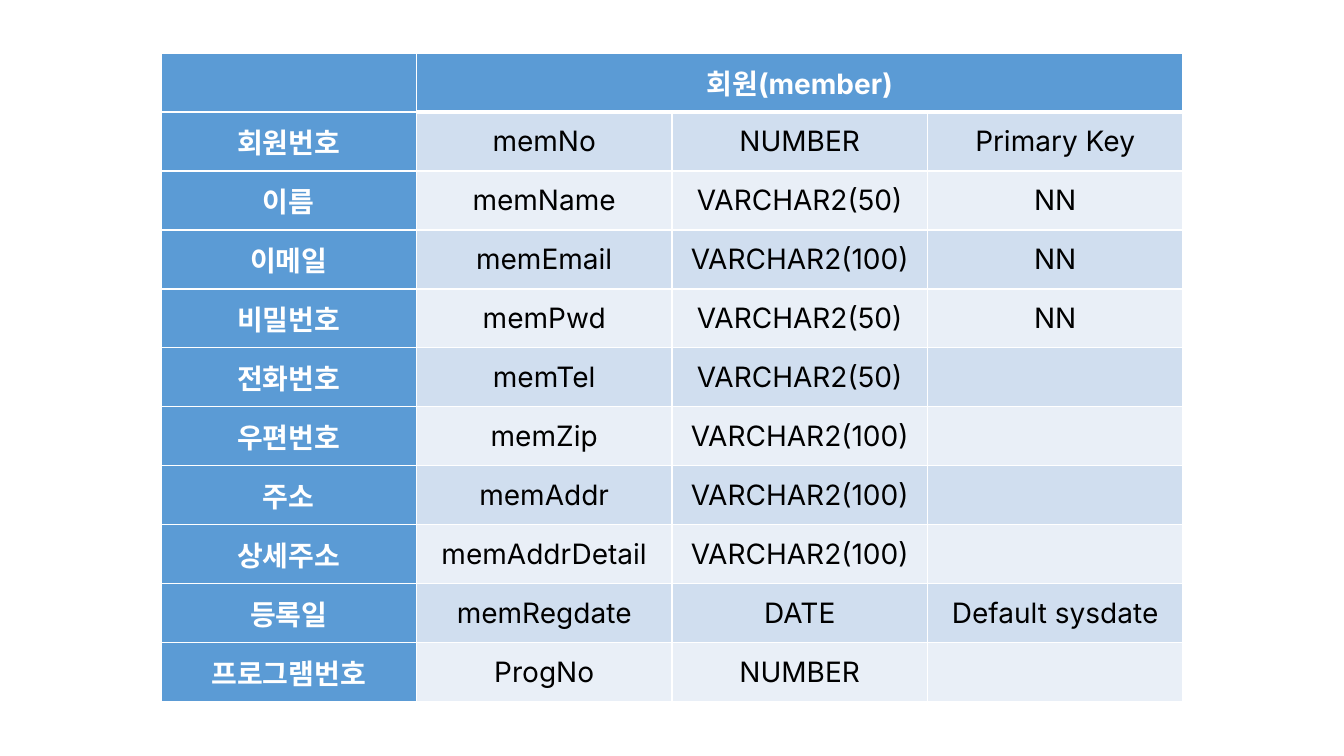
from lxml import etree
from pptx import Presentation
from pptx.dml.color import RGBColor
from pptx.enum.text import MSO_ANCHOR, PP_ALIGN
from pptx.oxml.ns import qn
from pptx.util import Pt

CENTER = PP_ALIGN.CENTER
MIDDLE = MSO_ANCHOR.MIDDLE
WHITE = RGBColor(0xFF, 0xFF, 0xFF)
BLACK = RGBColor(0, 0, 0)
BLUE = RGBColor(0x5B, 0x9B, 0xD5)
BANDS = [RGBColor(0xE9, 0xEF, 0xF7), RGBColor(0xD0, 0xDE, 0xEF)]
SCALE = 12192000 / 1344
FIELDS = [
    ("", "회원(member)", "", ""),
    ("회원번호", "memNo", "NUMBER", "Primary Key"),
    ("이름", "memName", "VARCHAR2(50)", "NN"),
    ("이메일", "memEmail", "VARCHAR2(100)", "NN"),
    ("비밀번호", "memPwd", "VARCHAR2(50)", "NN"),
    ("전화번호", "memTel", "VARCHAR2(50)", ""),
    ("우편번호", "memZip", "VARCHAR2(100)", ""),
    ("주소", "memAddr", "VARCHAR2(100)", ""),
    ("상세주소", "memAddrDetail", "VARCHAR2(100)", ""),
    ("등록일", "memRegdate", "DATE", "Default sysdate"),
    ("프로그램번호", "ProgNo", "NUMBER", ""),
]
FORMAT = {"vertical_anchor": MIDDLE, "margin_left": 0, "margin_right": 0,
          "margin_top": 0, "margin_bottom": 0}


def px(size):
    return round(size * SCALE)


def border(cell, side, width):
    line = etree.SubElement(cell._tc.get_or_add_tcPr(), qn("a:ln" + side), w=str(Pt(width)))
    fill = etree.SubElement(line, qn("a:solidFill"))
    etree.SubElement(fill, qn("a:srgbClr"), val=str(WHITE))


deck = Presentation()
deck.slide_width, deck.slide_height = px(1344), px(756)
slide = deck.slides.add_slide(deck.slide_layouts[6])
table = slide.shapes.add_table(len(FIELDS), 4, px(161), px(53), px(1022), px(649)).table
table.first_row = table.horz_banding = False
for col in table.columns:
    col.width = px(1022 / 4)
for row in table.rows:
    row.height = px(59)
table.cell(0, 1).merge(table.cell(0, 3))

for r, field in enumerate(FIELDS):
    for c, text in enumerate(field):
        cell = table.cell(r, c)
        head = r == 0 or c == 0
        for name, value in FORMAT.items():
            setattr(cell, name, value)
        for side in "LRTB":
            rule = c > 0 and (r, side) in [(0, "B"), (1, "T")]
            border(cell, side, 3 if rule else 1)
        cell.fill.solid()
        cell.fill.fore_color.rgb = BLUE if head else BANDS[r % 2]
        if text:
            para = cell.text_frame.paragraphs[0]
            para.alignment = CENTER
            run = para.add_run()
            run.text = text
            for name, value in {"name": "Inter", "size": Pt(20), "bold": head}.items():
                setattr(run.font, name, value)
            run.font.color.rgb = WHITE if head else BLACK

deck.save("out.pptx")
